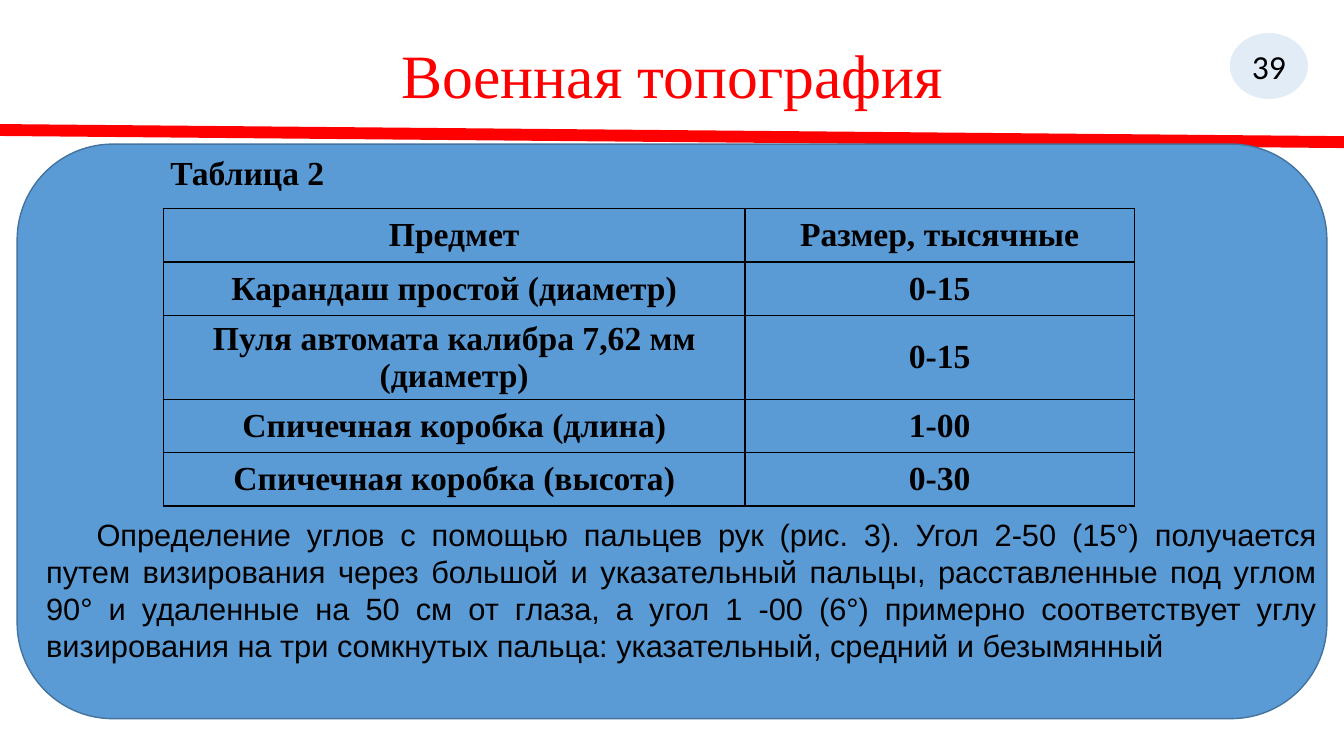
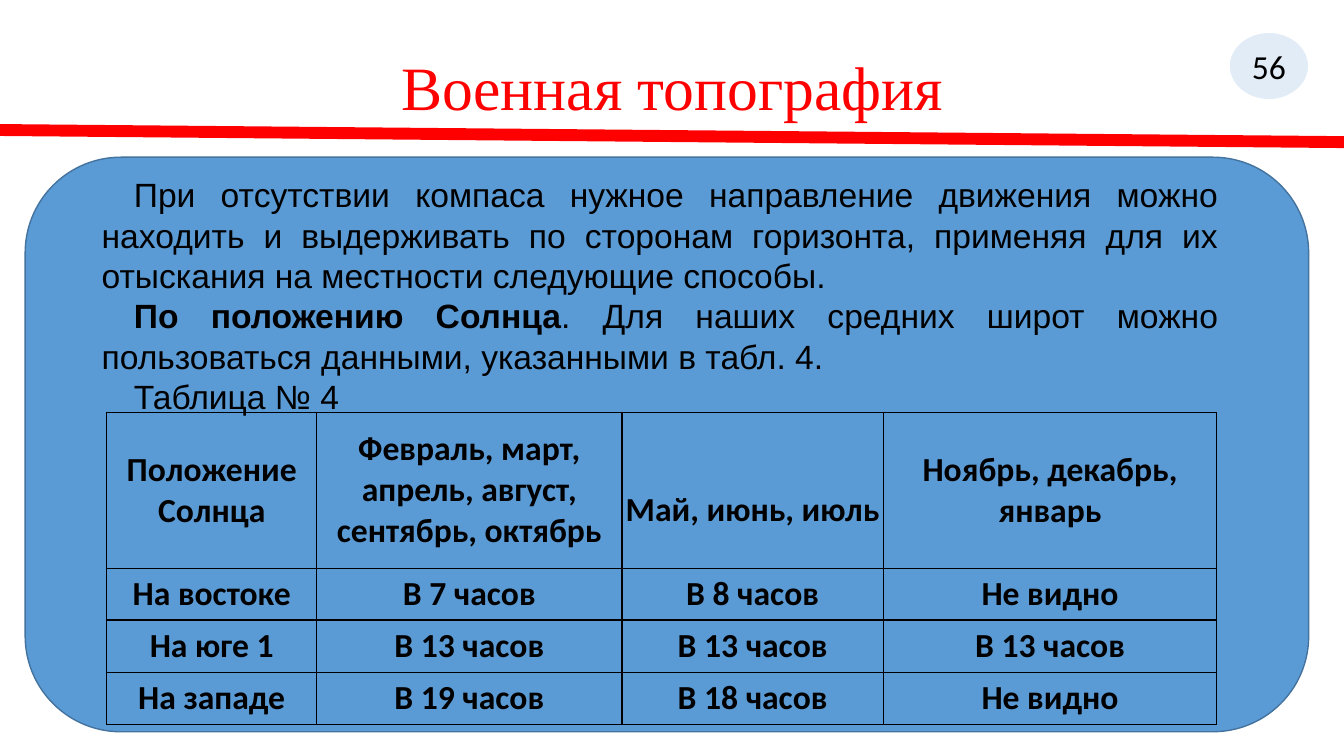
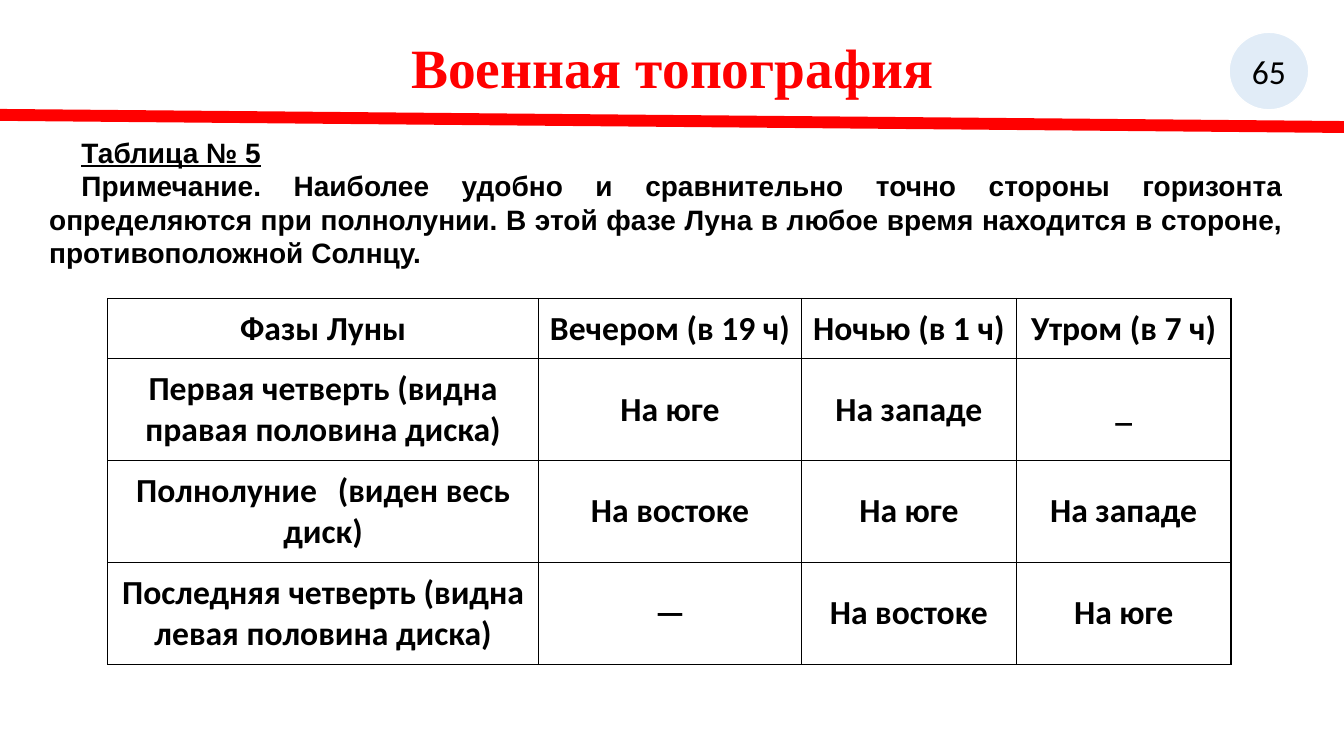
from pptx import Presentation
from pptx.dml.color import RGBColor
from pptx.enum.shapes import MSO_CONNECTOR, MSO_SHAPE
from pptx.enum.text import MSO_ANCHOR as ANCHOR, MSO_AUTO_SIZE, PP_ALIGN as ALIGN
from pptx.oxml.ns import qn
from pptx.util import Inches, Pt
from lxml.etree import SubElement

RED, BLUE, EDGE, BLACK, WHITE = "FF0000", "5B9BD5", "43739E", "000000", "FFFFFF"
TITLE = "Военная топография"
TITLE_FONT = dict(name="Times New Roman", size=Pt(44), bold=False)
BADGE_FONT = dict(name="Calibri", size=Pt(24))
SERIF_CELL = dict(name="Times New Roman", size=Pt(24), bold=True)
SANS_CELL = dict(name="Calibri", size=Pt(24), bold=True)
SIDES = ("lnL", "lnR", "lnT", "lnB")


def rgb(value):
    return RGBColor.from_string(value)


def set_font(font, fmt, color=BLACK):
    for name, value in fmt.items():
        setattr(font, name, value)
    font.color.rgb = rgb(color)


def set_frame(tf, anchor, **margins):
    tf.word_wrap = True
    tf.auto_size = MSO_AUTO_SIZE.NONE
    tf.vertical_anchor = anchor
    for side, value in margins.items():
        setattr(tf, f"margin_{side}", Inches(value))


def add_shape(s, kind, box, fill, line):
    sp = s.shapes.add_shape(kind, *map(Inches, box))
    sp.shadow.inherit = False
    sp.fill.solid()
    sp.fill.fore_color.rgb = rgb(fill)
    sp.line.color.rgb = rgb(line)
    sp.line.width = Pt(1)
    return sp


def add_title(s, height, anchor, top_margin, fmt):
    sp = s.shapes.title
    sp.left, sp.top, sp.width, sp.height = map(Inches, (0.92, 0.4, 11.5, height))
    tf = sp.text_frame
    set_frame(tf, anchor, top=top_margin)
    p = tf.paragraphs[0]
    p.alignment = ALIGN.CENTER
    p.line_spacing = 0.9
    r = p.add_run()
    r.text = TITLE
    set_font(r.font, {**TITLE_FONT, **fmt}, RED)


def add_rule(s, top):
    ln = s.shapes.add_connector(MSO_CONNECTOR.STRAIGHT, 0, Inches(top),
                                Inches(13.33), Inches(top + 0.12))
    ln.line.color.rgb = rgb(RED)
    ln.line.width = Pt(8.5)
    SubElement(ln._element.spPr, qn("a:effectLst"))


def add_badge(s, number, height):
    sp = add_shape(s, MSO_SHAPE.OVAL, (12.19, 0.32, 0.79, height), BLUE, WHITE)
    color = sp._element.spPr.find(qn("a:solidFill"))[0]
    SubElement(color, qn("a:alpha"), val="18000")
    tf = sp.text_frame
    set_frame(tf, ANCHOR.MIDDLE)
    p = tf.paragraphs[0]
    p.alignment = ALIGN.CENTER
    r = p.add_run()
    r.text = str(number)
    set_font(r.font, BADGE_FONT)


def new_slide(prs, number, title_height=1, title_anchor=ANCHOR.TOP, title_margin=0.05,
              title_font={}, rule_top=1.29, badge_height=0.67):
    s = prs.slides.add_slide(prs.slide_layouts[5])
    add_title(s, title_height, title_anchor, title_margin, title_font)
    add_rule(s, rule_top)
    add_badge(s, number, badge_height)
    return s


def add_panel(s, box):
    add_shape(s, MSO_SHAPE.ROUNDED_RECTANGLE, box, BLUE, EDGE)


def add_body(s, box, paragraphs, size, indent, anchor=ANCHOR.TOP, top=0.05, tab=None):
    tf = s.shapes.add_textbox(*map(Inches, box)).text_frame
    set_frame(tf, anchor, top=top)
    for i, runs in enumerate(paragraphs):
        p = tf.paragraphs[0] if i == 0 else tf.add_paragraph()
        p.alignment = ALIGN.JUSTIFY
        pPr = p._p.get_or_add_pPr()
        pPr.set("marL", "0")
        pPr.set("indent", str(Inches(indent)))
        if tab:
            tabs = SubElement(pPr, qn("a:tabLst"))
            SubElement(tabs, qn("a:tab"), pos=str(Inches(tab)), algn="l")
        for text, fmt in runs:
            r = p.add_run()
            r.text = text
            set_font(r.font, dict(name="Arial", size=Pt(size), **fmt))


def set_borders(cell, visible):
    tcPr = cell._tc.get_or_add_tcPr()
    for i, side in enumerate(SIDES):
        ln = tcPr.makeelement(qn(f"a:{side}"), {"w": str(Pt(1))})
        tcPr.insert(i, ln)
        if side in visible:
            fill = SubElement(ln, qn("a:solidFill"))
            SubElement(fill, qn("a:srgbClr"), val=BLACK)
        else:
            SubElement(ln, qn("a:noFill"))


def add_grid(s, left, top, widths, heights, rows, fmt, margin=0, caption_row=False):
    box = (left, top, sum(widths), sum(heights))
    table = s.shapes.add_table(len(heights), len(widths), *map(Inches, box)).table
    table.first_row = table.horz_banding = False
    for col, width in zip(table.columns, widths):
        col.width = Inches(width)
    for row, height in zip(table.rows, heights):
        row.height = Inches(height)
    for i, row in enumerate(rows):
        caption = caption_row and i == 0
        for j, text in enumerate(row):
            cell = table.cell(i, j)
            cell.fill.background()
            cell.margin_left = cell.margin_right = Inches(margin)
            cell.margin_top = cell.margin_bottom = 0
            cell.vertical_anchor = ANCHOR.TOP if caption else ANCHOR.MIDDLE
            set_borders(cell, SIDES[3:] if caption else SIDES)
            cell.text = text
            for p in cell.text_frame.paragraphs:
                p.alignment = ALIGN.JUSTIFY if caption else ALIGN.CENTER
                for r in p.runs:
                    set_font(r.font, fmt)
    return table


def angles_slide(prs):
    s = new_slide(prs, 39, title_height=1.45)
    add_panel(s, (0.17, 1.43, 12.99, 5.7))
    rows = [
        ("Таблица 2", ""),
        ("Предмет", "Размер, тысячные"),
        ("Карандаш простой (диаметр)", "0-15"),
        ("Пуля автомата калибра 7,62 мм (диаметр)", "0-15"),
        ("Спичечная коробка (длина)", "1-00"),
        ("Спичечная коробка (высота)", "0-30"),
    ]
    add_grid(s, 1.62, 1.54, (5.77, 3.86), (0.53, 0.53, 0.53, 0.83, 0.53, 0.53), rows,
             SERIF_CELL, margin=0.07, caption_row=True)
    text = ("Определение углов с помощью пальцев рук (рис. 3). Угол 2-50 (15°) получается "
            "путем визирования через большой и указательный пальцы, расставленные под углом "
            "90° и удаленные на 50 см от глаза, а угол 1 -00 (6°) примерно соответствует углу "
            "визирования на три сомкнутых пальца: указательный, средний и безымянный")
    add_body(s, (0.36, 5.06, 12.8, 1.58), [[(text, {})]], 22, 0.5, ANCHOR.MIDDLE)


def sun_slide(prs):
    s = new_slide(prs, 56, title_anchor=ANCHOR.MIDDLE)
    add_panel(s, (0.25, 1.56, 12.73, 5.7))
    rows = [
        ("Положение\nСолнца", "Февраль, март, апрель, август,\nсентябрь, октябрь",
         "Май, июнь, июль", "Ноябрь, декабрь, январь"),
        ("На востоке", "В 7 часов", "В 8 часов", "Не видно"),
        ("На юге 1", "В 13 часов", "В 13 часов", "В 13 часов"),
        ("На западе", "В 19 часов", "В 18 часов", "Не видно"),
    ]
    table = add_grid(s, 1.06, 4.09, (2.08, 3.03, 2.59, 3.31), (1.55, 0.51, 0.52, 0.52),
                     rows, SANS_CELL)
    table.cell(0, 2).margin_top = Inches(0.4)
    paragraphs = [
        [("При отсутствии компаса нужное направление движения можно находить и выдерживать "
          "по сторонам горизонта, применяя для их отыскания на местности следующие способы.",
          {})],
        [("По положению Солнца", dict(bold=True)),
         (". Для наших средних широт можно пользоваться данными, указанными в табл. 4.", {})],
        [("Таблица № 4", {})],
    ]
    add_body(s, (0.91, 1.63, 11.27, 2.83), paragraphs, 24, 0.32, top=0.1)


def moon_slide(prs):
    s = new_slide(prs, 65, title_height=1.13, title_margin=0,
                  title_font=dict(size=Pt(39.6), bold=True), rule_top=1.14, badge_height=0.77)
    rows = [
        ("Фазы Луны", "Вечером (в 19 ч)", "Ночью (в 1 ч)", "Утром (в 7 ч)"),
        ("Первая четверть (видна правая половина диска)", "На юге", "На западе", "_"),
        ("Полнолуние\t(виден весь диск)", "На востоке", "На юге", "На западе"),
        ("Последняя четверть (видна\nлевая половина диска)", "—", "На востоке", "На юге"),
    ]
    add_grid(s, 1.07, 2.96, (4.27, 2.61, 2.13, 2.13), (0.6, 1.01, 1.01, 1.01), rows, SANS_CELL)
    paragraphs = [
        [("Таблица № 5\t", dict(bold=True, underline=True))],
        [("Примечание. Наиболее удобно и сравнительно точно стороны горизонта определяются "
          "при полнолунии. В этой фазе Луна в любое время находится в стороне, "
          "противоположной Солнцу.", dict(bold=True))],
    ]
    add_body(s, (0.39, 0.92, 12.43, 1.78), paragraphs, 20, 0.32, top=0.42, tab=3.02)


def main():
    prs = Presentation()
    prs.slide_width, prs.slide_height = Inches(13.33), Inches(7.5)
    for build in (angles_slide, sun_slide, moon_slide):
        build(prs)
    prs.save("out.pptx")


if __name__ == "__main__":
    main()
